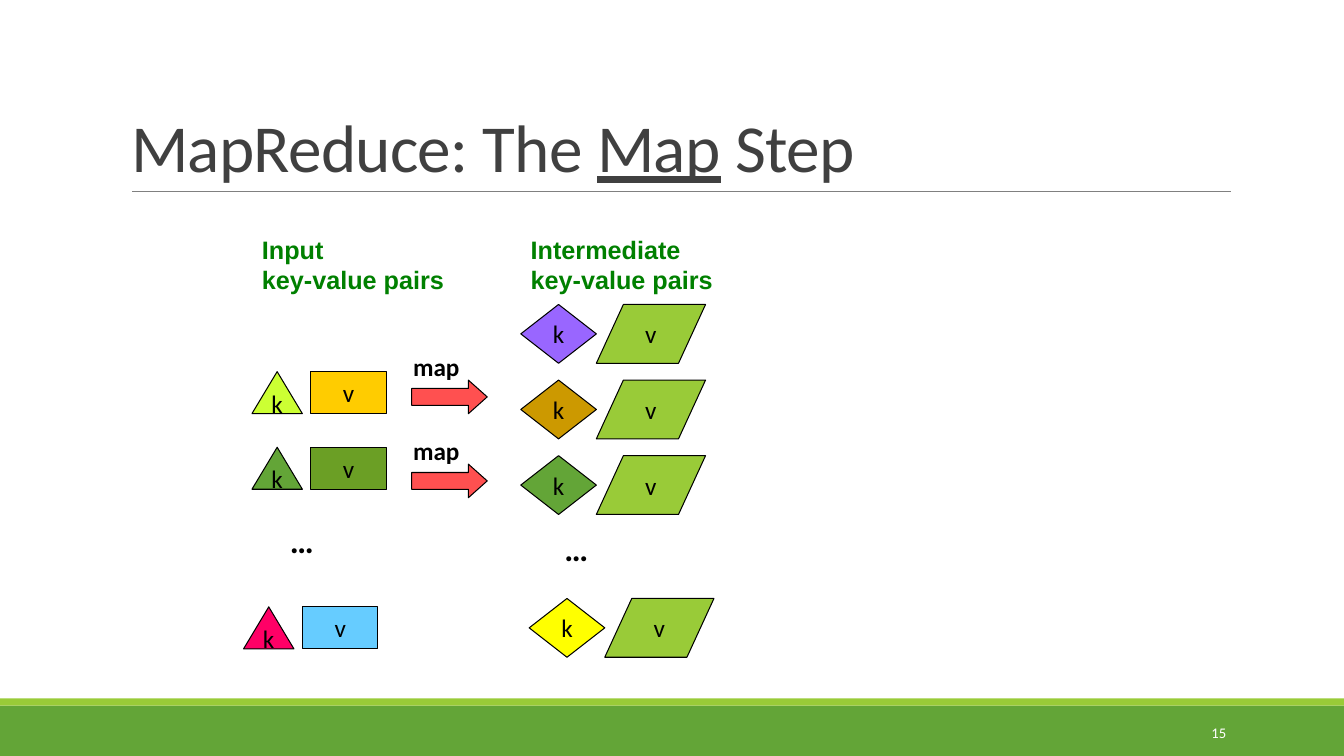
from lxml import etree
from pptx import Presentation
from pptx.dml.color import RGBColor
from pptx.enum import shapes, text
from pptx.oxml import ns
from pptx.util import Pt

KIND = shapes.MSO_SHAPE
SIDE = text.PP_ALIGN
EDGE = text.MSO_ANCHOR


def hue(code):
    """Turn a hex string into a colour."""
    return RGBColor.from_string(code)


def write(para, words, size, code, bold=False, face="Calibri"):
    """Add one formatted run to a paragraph."""
    run = para.add_run()
    run.text = words
    font = run.font
    font.name, font.size, font.bold = face, Pt(size), bold
    font.color.rgb = hue(code)
    return run


def draw(home, kind, box, fill, line=None, word=None, adj=()):
    """Draw a preset shape with an optional centred letter."""
    item = home.add_shape(kind, *map(Pt, box))
    item.shadow.inherit = False
    item.fill.solid()
    item.fill.fore_color.rgb = hue(fill)
    if line:
        item.line.color.rgb = hue(line)
        item.line.width = Pt(0.75)
    else:
        item.line.fill.background()
    for spot, size in enumerate(adj):
        item.adjustments[spot] = size
    if word:
        frame = item.text_frame
        frame.word_wrap = False
        frame.vertical_anchor = EDGE.MIDDLE
        para = frame.paragraphs[0]
        para.alignment = SIDE.CENTER
        write(para, word, 18, "000000")


def note(home, box, lines, size, code="000000", face="Calibri"):
    """Place bold text lines in a box that does not wrap."""
    frame = home.add_textbox(*map(Pt, box)).text_frame
    frame.word_wrap = False
    for spot, words in enumerate(lines):
        para = frame.add_paragraph() if spot else frame.paragraphs[0]
        write(para, words, size, code, True, face)


def pair(slide, left, top, kinds, sizes, gap, fills, adj=()):
    """Group a key shape with the value shape beside it."""
    home = slide.shapes.add_group_shape().shapes
    (wide, high), (span, tall) = sizes
    draw(home, kinds[0], (left, top, wide, high), fills[0], "000000", "k")
    box = (left + wide + gap, top, span, tall)
    draw(home, kinds[1], box, fills[1], "000000", "v", adj)


def step(slide, left, top):
    """Group a map label with the arrow below it."""
    home = slide.shapes.add_group_shape().shapes
    box = (left + 6, top + 24, 54, 24)
    draw(home, KIND.RIGHT_ARROW, box, "FF5050", "000000", adj=(0.5, 0.56))
    note(home, (left, top, 50, 29), ["map"], 18)


def source(slide, left, top):
    """Build the column of input pairs."""
    note(slide.shapes, (left, top, 146, 51), ["Input", "key-value pairs"],
         18, "008000", "Arial")
    rows = [(0, 102, "CCFF33", "FFCC00"), (0, 156, "63A537", "6B9F25"),
            (-6, 270, "FF0066", "66CCFF")]
    for dx, dy, key, val in rows:
        pair(slide, left + dx, top + dy, (KIND.ISOSCELES_TRIANGLE, KIND.RECTANGLE),
             ((36, 30), (54, 30)), 6, (key, val))
    note(slide.shapes, (left + 20, top + 204, 32, 36), ["…"], 24)


def result(slide, left, top):
    """Build the column of intermediate pairs."""
    note(slide.shapes, (left, top, 146, 51), ["Intermediate", "key-value pairs"],
         18, "008000", "Arial")
    rows = [(0, 54, "9966FF"), (0, 108, "CC9900"), (0, 162, "63A537"),
            (6, 264, "FFFF00")]
    for dx, dy, key in rows:
        pair(slide, left + dx, top + dy, (KIND.DIAMOND, KIND.PARALLELOGRAM),
             ((54, 42), (78, 42)), 0, (key, "99CB38"), (0.46,))
    note(slide.shapes, (left + 24, top + 210, 32, 36), ["…"], 24)


def head(slide, left, top, wide, high):
    """Set the title and the rule under it."""
    title = slide.shapes.title
    title.left, title.top, title.width, title.height = map(Pt, (left, top, wide, high))
    frame = title.text_frame
    frame.auto_size = text.MSO_AUTO_SIZE.NONE
    frame.word_wrap = True
    frame.vertical_anchor = EDGE.BOTTOM
    para = frame.paragraphs[0]
    para.alignment = SIDE.LEFT
    para.line_spacing = 0.85
    for words, under in (("MapReduce: The ", False), ("Map", True), (" Step", False)):
        run = write(para, words, 48, "404040")
        run.font.underline = under
        run._r.get_or_add_rPr().set("spc", "-50")
    base = top + high
    rule = slide.shapes.add_connector(shapes.MSO_CONNECTOR.STRAIGHT, Pt(left + 8),
                                      Pt(base), Pt(left + wide + 1), Pt(base))
    rule.line.color.rgb = hue("808080")
    rule.line.width = Pt(0.5)
    etree.SubElement(rule._element.spPr, ns.qn("a:effectLst"))


def foot(slide, top, wide, high):
    """Draw the bottom bands and the slide number."""
    draw(slide.shapes, KIND.RECTANGLE, (0, top, wide, high), "63A537")
    draw(slide.shapes, KIND.RECTANGLE, (0, top - 5.2, wide, 5.2), "99CB38")
    box = slide.shapes.add_textbox(*map(Pt, (780, top + 4.5, 103, 29)))
    frame = box.text_frame
    frame.word_wrap = True
    frame.vertical_anchor = EDGE.MIDDLE
    para = frame.paragraphs[0]
    para.alignment = SIDE.RIGHT
    write(para, "15", 10.5, "FFFFFF")


def main():
    """Build and save the slide."""
    deck = Presentation()
    deck.slide_width, deck.slide_height = Pt(960), Pt(540)
    slide = deck.slides.add_slide(deck.slide_layouts[5])
    foot(slide, 504, 960, 36)
    head(slide, 86.4, 22.5, 792, 114.2)
    source(slide, 180, 163.5)
    for top in (247.5, 307.5):
        step(slide, 288, top)
    result(slide, 372, 163.5)
    deck.save("out.pptx")


if __name__ == "__main__":
    main()
